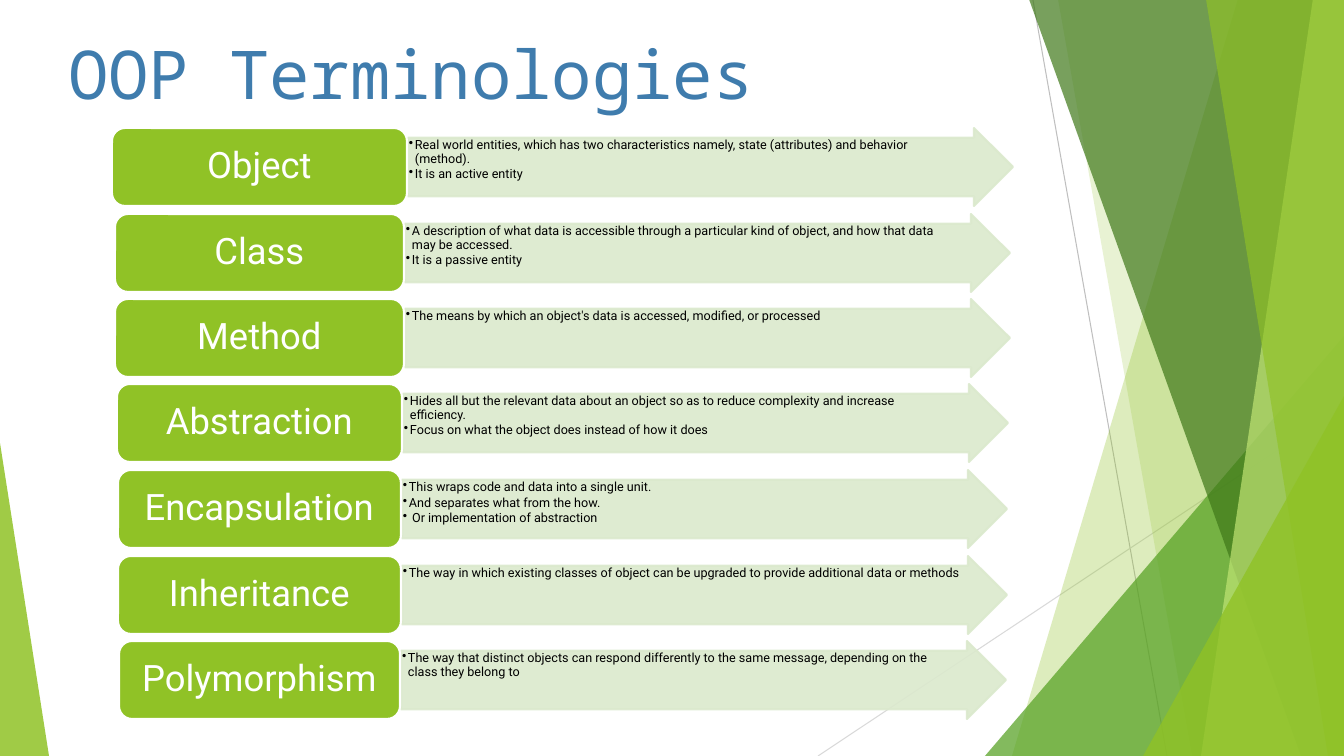
from copy import deepcopy
from dataclasses import dataclass
from lxml.etree import SubElement
from pptx import Presentation
from pptx.dml.color import RGBColor
from pptx.enum.shapes import MSO_CONNECTOR, MSO_SHAPE
from pptx.enum.text import MSO_ANCHOR, PP_ALIGN
from pptx.oxml.ns import qn
from pptx.util import Pt

# Content: term, left edge of its label, description bullets (\v is a line break)
TITLE = "OOP Terminologies"
TERMS = [
    ("Object", 112, [
        "Real world entities, which has two characteristics namely, state (attributes) and behavior\v(method). ",
        "It is an active entity"]),
    ("Class", 115, [
        "A description of what data is accessible through a particular kind of object, and how that data\v"
        "may be accessed. ",
        "It is a passive entity"]),
    ("Method", 115, ["The means by which an object's data is accessed, modified, or processed"]),
    ("Abstraction", 117, [
        "Hides all but the relevant data about an object so as to reduce complexity and increase\vefficiency. ",
        "Focus on what the object does instead of how it does"]),
    ("Encapsulation", 118, [
        "This wraps code and data into a single unit. ",
        "And separates what from the how.",
        " Or implementation of abstraction"]),
    ("Inheritance", 118, [
        "The way in which existing classes of object can be upgraded to provide additional data or methods"]),
    ("Polymorphism", 119, [
        "The way that distinct objects can respond differently to the same message, depending on the\v"
        "class they belong to"]),
]


@dataclass(frozen=True)
class Theme:
    title_font: str = "Noto Sans Mono"
    body_font: str = "Roboto"
    title_size: int = 48
    label_size: int = 26
    detail_size: int = 9
    title: str = "3F7CAD"
    lime: str = "90C226"
    green: str = "54A021"
    forest: str = "3F7819"
    pale_lime: str = "C0E474"
    arrow: str = "DBE9CD"
    black: str = "000000"
    white: str = "FFFFFF"
    dark_ray: str = "BFBFBF"
    light_ray: str = "D9D9D9"


THEME = Theme()

# Geometry in pixels
WIDTH, HEIGHT = 1344, 756
ROW_TOP, ROW_STEP, ROW_HEIGHT = 128, 85.5, 78
ARROW_WIDTH = 605
EDGE_SUM = 520  # label left + arrow left: labels grow evenly about one axis

RAYS = [((1033, 0), (1167, 756), THEME.dark_ray),
        ((1344, 406), (818, 756), THEME.light_ray)]
# Facets: strips give top and bottom x of the slanted edge, triangles give a box and apex
FACETS = [
    ("strip", (1238, 1012), THEME.lime, 30),
    ("strip", (1058, 1192), THEME.lime, 20),
    ("triangle", (985, 336, 359, 420, 1), THEME.green, 72),
    ("strip", (1029, 1301), THEME.forest, 70),
    ("strip", (1313, 1201), THEME.pale_lime, 70),
    ("strip", (1206, 1328), THEME.lime, 65),
    ("triangle", (1143, 396, 201, 360, 1), THEME.lime, 80),
    ("triangle", (0, 443, 49, 313, 0), THEME.lime, 85),
]


def px(value):
    return round(value * 914400 / 100.8)


def box(*values):
    return [px(value) for value in values]


def paint(fill, color, opacity=100):
    fill.solid()
    fill.fore_color.rgb = RGBColor.from_string(color)
    if opacity < 100:
        color_element = fill._xPr.find(qn("a:solidFill"))[0]
        SubElement(color_element, qn("a:alpha"), val=str(opacity * 1000))


def style(shape, color, opacity=100, line=None):
    shape.shadow.inherit = False
    paint(shape.fill, color, opacity)
    if line:
        paint(shape.line.fill, line, opacity)
        shape.line.width = Pt(1.5)
    else:
        shape.line.fill.background()


def write(shape, lines, *, font, size, color, align=PP_ALIGN.LEFT, anchor=MSO_ANCHOR.TOP,
          margins=(10, 5), spacing=None, after=0, bullet=None):
    frame = shape.text_frame
    frame.word_wrap = True
    frame.vertical_anchor = anchor
    frame.margin_left = frame.margin_right = px(margins[0])
    frame.margin_top = frame.margin_bottom = px(margins[1])
    for index, line in enumerate(lines):
        paragraph = frame.add_paragraph() if index else frame.paragraphs[0]
        paragraph.text = line
        paragraph.alignment = align
        paragraph.line_spacing = spacing
        paragraph.space_after = Pt(after)
        for run in paragraph.runs:
            run.font.name = font
            run.font.size = Pt(size)
            run.font.color.rgb = RGBColor.from_string(color)
        # Line breaks take the size of the text around them
        for line_break in paragraph._p.findall(qn("a:br")):
            line_break.append(deepcopy(paragraph.runs[0]._r.rPr))
        if bullet:
            properties = paragraph._p.get_or_add_pPr()
            properties.set("marL", str(px(6)))
            properties.set("indent", str(-px(6)))
            SubElement(properties, qn("a:buChar"), char=bullet)


presentation = Presentation()
presentation.slide_width, presentation.slide_height = px(WIDTH), px(HEIGHT)
slide = presentation.slides.add_slide(presentation.slide_layouts[5])
shapes = slide.shapes

# Background rays
for start, end, color in RAYS:
    ray = shapes.add_connector(MSO_CONNECTOR.STRAIGHT, *box(*start, *end))
    ray.line.color.rgb = RGBColor.from_string(color)
    ray.line.width = Pt(0.75)
    SubElement(ray._element.spPr, qn("a:effectLst"))

# Background facets
for kind, place, color, opacity in FACETS:
    if kind == "strip":
        top_x, bottom_x = place
        builder = shapes.build_freeform(px(top_x), px(-1))
        builder.add_line_segments([box(WIDTH, -1), box(WIDTH, HEIGHT), box(bottom_x, HEIGHT)])
        facet = builder.convert_to_shape()
    else:
        *area, apex = place
        facet = shapes.add_shape(MSO_SHAPE.ISOSCELES_TRIANGLE, *box(*area))
        facet.adjustments[0] = apex
    style(facet, color, opacity)

# Title
title = shapes.title
title.left, title.top, title.width, title.height = box(58, 27, 948, 145)
write(title, [TITLE], font=THEME.title_font, size=THEME.title_size, color=THEME.title)

# Term rows: description arrow, then label
for row, (term, label_left, details) in enumerate(TERMS):
    top = round(ROW_TOP + row * ROW_STEP)
    arrow_left = EDGE_SUM - label_left

    arrow = shapes.add_shape(MSO_SHAPE.RIGHT_ARROW, *box(arrow_left, top, ARROW_WIDTH, ROW_HEIGHT))
    arrow.adjustments[0], arrow.adjustments[1] = 0.75, 0.5
    style(arrow, THEME.arrow, 90, line=THEME.arrow)
    write(arrow, details, font=THEME.body_font, size=THEME.detail_size, color=THEME.black,
          margins=(1, 1), spacing=0.9, after=1.35, bullet="•")

    label = shapes.add_shape(MSO_SHAPE.ROUNDED_RECTANGLE,
                             *box(label_left, top, arrow_left - label_left - 1, ROW_HEIGHT))
    style(label, THEME.lime, line=THEME.white)
    write(label, [term], font=THEME.body_font, size=THEME.label_size, color=THEME.white,
          align=PP_ALIGN.CENTER, anchor=MSO_ANCHOR.MIDDLE, spacing=0.9)

presentation.save("out.pptx")
